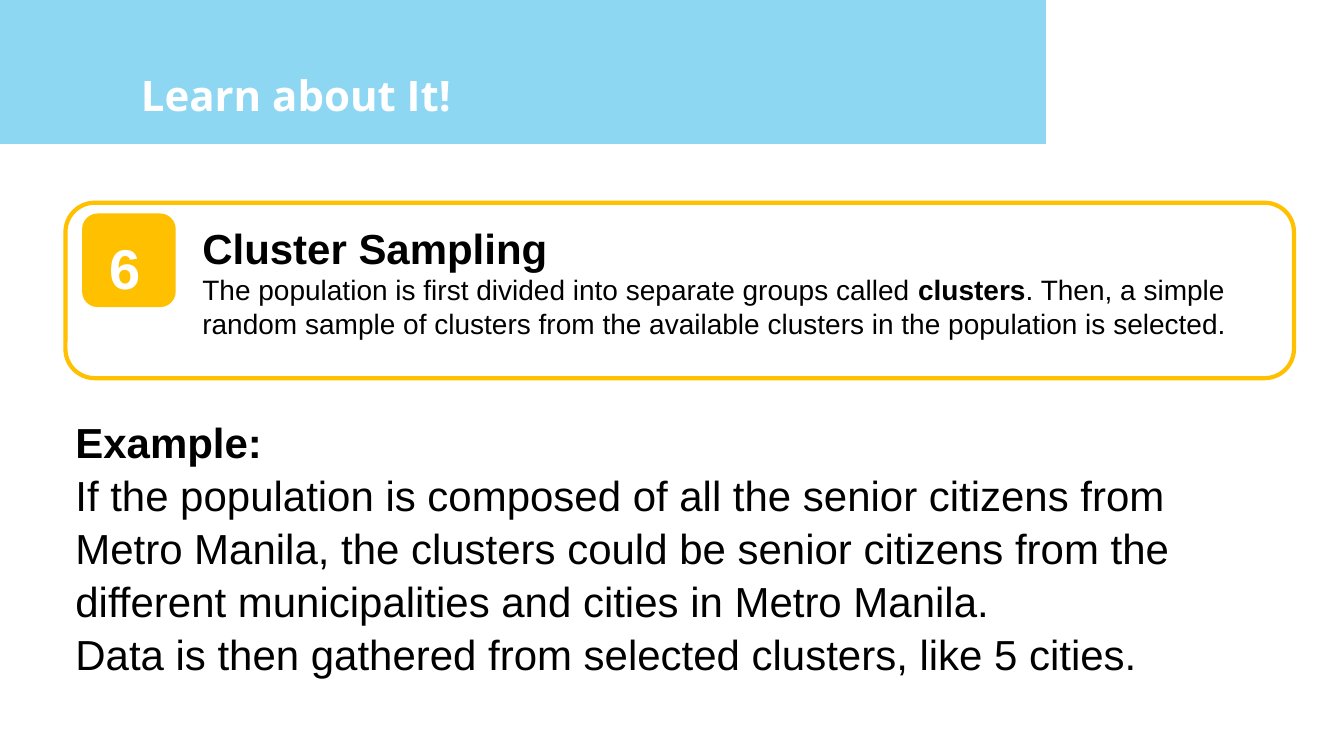
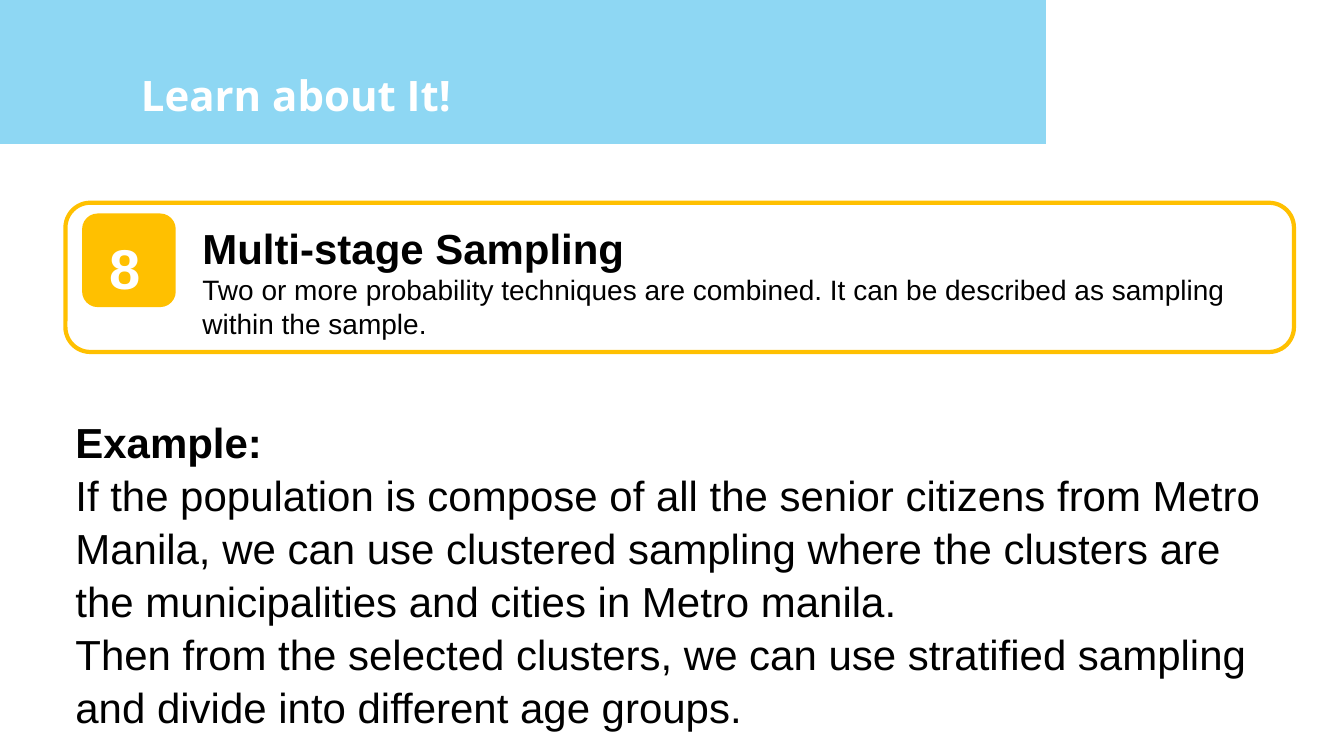
from pptx import Presentation
from pptx.dml.color import RGBColor
from pptx.enum.shapes import MSO_SHAPE
from pptx.enum.text import MSO_ANCHOR, MSO_AUTO_SIZE, PP_ALIGN
from pptx.oxml.ns import qn
from pptx.util import Cm, Pt

RECTANGLE = MSO_SHAPE.RECTANGLE
ROUNDED = MSO_SHAPE.ROUNDED_RECTANGLE
TOP, MIDDLE = MSO_ANCHOR.TOP, MSO_ANCHOR.MIDDLE
NO_AUTOFIT = MSO_AUTO_SIZE.NONE
LEFT, CENTER = PP_ALIGN.LEFT, PP_ALIGN.CENTER

COLORS = {"band": "8ED7F3", "accent": "FFC000", "text": "000000", "light": "FFFFFF"}
TITLE_FONT, TEXT_FONT = "Open Sans", "Arial"
INSET = 0.25
CARD_LEFT, CARD_TOP, CARD_WIDTH = 1.65, 5.11, 30.96

METHODS = [
    {
        "number": "6",
        "name": "Cluster Sampling",
        "definition": [
            ("The population is first divided into separate groups called ", False),
            ("clusters", True),
            (". Then, a simple random sample of clusters from the available "
             "clusters in the population is selected.", False),
        ],
        "card_height": 4.42,
        "example": [
            "If the population is composed of all the senior citizens from Metro "
            "Manila, the clusters could be senior citizens from the different "
            "municipalities and cities in Metro Manila.",
            "Data is then gathered from selected clusters, like 5 cities.",
        ],
    },
    {
        "number": "8",
        "name": "Multi-stage Sampling",
        "definition": [
            ("Two or more probability techniques are combined. It can be described "
             "as sampling within the sample.", False),
        ],
        "card_height": 3.76,
        "example": [
            "If the population is compose of all the senior citizens from Metro "
            "Manila, we can use clustered sampling where the clusters are the "
            "municipalities and cities in Metro manila.",
            "Then from the selected clusters, we can use stratified sampling and "
            "divide into different age groups.",
        ],
    },
]


def rgb(name):
    return RGBColor.from_string(COLORS[name])


def place(shape, left, top, width, height):
    shape.left, shape.top = Cm(left), Cm(top)
    shape.width, shape.height = Cm(width), Cm(height)


def set_font(paragraph, size, color="text", bold=None, name=TEXT_FONT):
    font = paragraph.font
    font.name, font.size, font.bold = name, Pt(size), bold
    font.color.rgb = rgb(color)


def prepare_frame(frame):
    frame.word_wrap = True
    frame.auto_size = NO_AUTOFIT
    frame.vertical_anchor = TOP
    frame.margin_left = frame.margin_right = Cm(INSET)
    frame.margin_top = frame.margin_bottom = Cm(INSET)


def add_panel(slide, kind, left, top, width, height, fill=None, line=None):
    panel = slide.shapes.add_shape(kind, Cm(left), Cm(top), Cm(width), Cm(height))
    panel.shadow.inherit = False
    if fill:
        panel.fill.solid()
        panel.fill.fore_color.rgb = rgb(fill)
    else:
        panel.fill.background()
    if line:
        panel.line.color.rgb = rgb(line)
        panel.line.width = Pt(3)
    else:
        panel.line.fill.background()
    return panel


def share_band(slide):
    """Move a header band into the slide's layout, behind its placeholders."""
    band = add_panel(slide, RECTANGLE, 0, 0, 26.36, 3.63, fill="band")
    slide.slide_layout.shapes._spTree.insert(2, band._element)


def arrange_layout(layout):
    title, body = layout.placeholders[0], layout.placeholders[1]
    place(title, 3.3, 1.5, 14.4, 2.41)
    place(body, CARD_LEFT, 10.19, CARD_WIDTH, 8)


def add_title(slide, text):
    frame = slide.shapes.title.text_frame
    prepare_frame(frame)
    heading = frame.paragraphs[0]
    heading.text = text
    heading.alignment = LEFT
    set_font(heading, 30, "light", True, TITLE_FONT)


def add_card(slide, method):
    add_panel(slide, ROUNDED, CARD_LEFT, CARD_TOP, CARD_WIDTH,
              method["card_height"], line="accent")
    box = slide.shapes.add_textbox(Cm(4.85), Cm(5.35), Cm(27.48), Cm(3.3))
    frame = box.text_frame
    prepare_frame(frame)
    name = frame.paragraphs[0]
    name.text = method["name"]
    set_font(name, 30, bold=True)
    definition = frame.add_paragraph()
    for text, bold in method["definition"]:
        run = definition.add_run()
        run.text = text
        run.font.bold = bold
    set_font(definition, 20)


def add_badge(slide, number):
    badge = add_panel(slide, ROUNDED, 2.07, 5.38, 2.36, 2.36, fill="accent")
    frame = badge.text_frame
    frame.vertical_anchor = MIDDLE
    frame.margin_left = frame.margin_bottom = 0
    frame.margin_top, frame.margin_right = Cm(0.36), Cm(0.18)
    digit = frame.paragraphs[0]
    digit.text = number
    digit.alignment = CENTER
    set_font(digit, 40, "light", True)


def remove_bullet(paragraph):
    properties = paragraph._p.get_or_add_pPr()
    properties.set("marL", "0")
    properties.set("indent", "0")
    properties.append(properties.makeelement(qn("a:buNone"), {}))


def add_example(slide, sentences):
    frame = slide.placeholders[1].text_frame
    prepare_frame(frame)
    frame.text = "\n".join(["Example:", *sentences])
    for index, paragraph in enumerate(frame.paragraphs):
        paragraph.space_before = Pt(0)
        paragraph.line_spacing = 1.05
        remove_bullet(paragraph)
        set_font(paragraph, 30, bold=index == 0)


def main():
    deck = Presentation()
    deck.slide_width, deck.slide_height = Cm(33.87), Cm(19.05)
    layout = deck.slide_layouts[1]
    arrange_layout(layout)
    for index, method in enumerate(METHODS):
        slide = deck.slides.add_slide(layout)
        if index == 0:
            share_band(slide)
        add_title(slide, "Learn about It!")
        add_card(slide, method)
        add_badge(slide, method["number"])
        add_example(slide, method["example"])
    deck.save("out.pptx")


if __name__ == "__main__":
    main()
